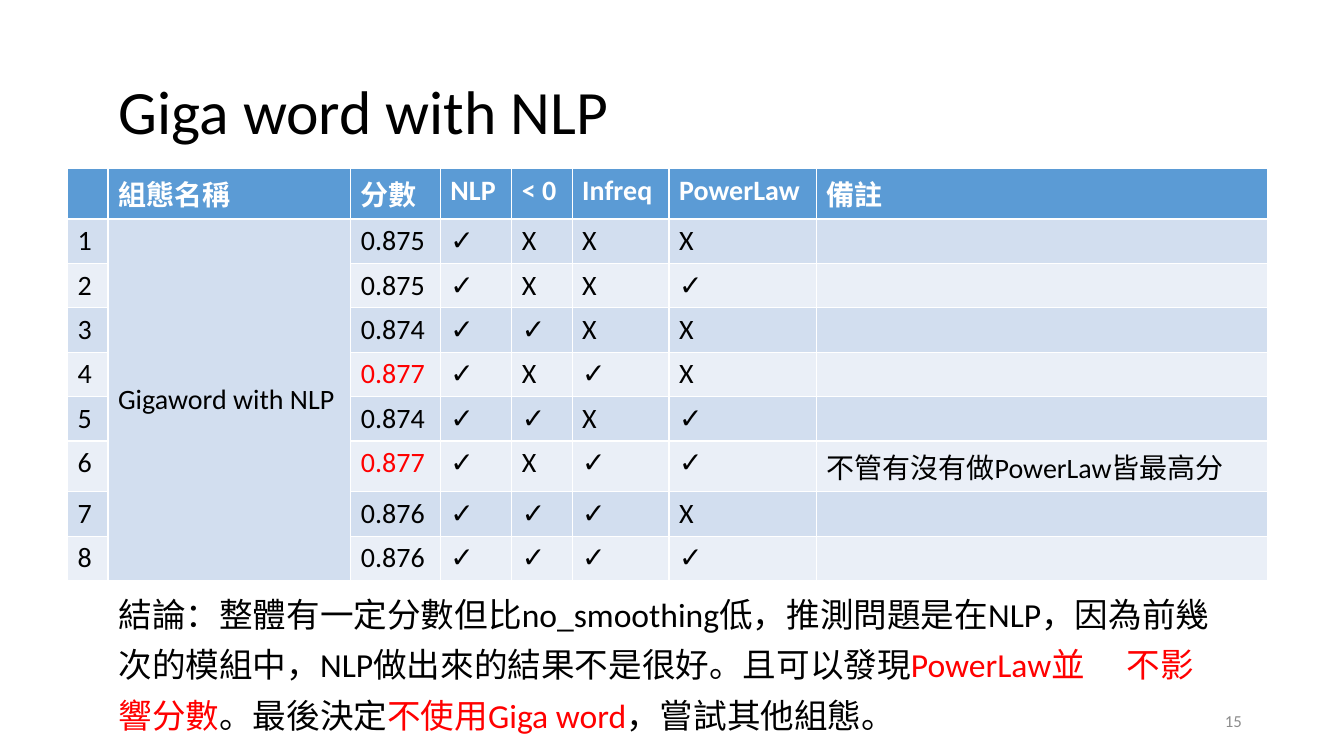
from pptx import Presentation
from pptx.dml.color import RGBColor
from pptx.enum.text import MSO_ANCHOR as Anchor, MSO_AUTO_SIZE as AutoSize, PP_ALIGN as Align
from pptx.util import Cm, Pt

BLACK, WHITE, RED, GREY = "000000", "FFFFFF", "FF0000", "8C8C8C"
HEADER_FILL, BAND_FILLS = "5B9BD5", ("D2DEEF", "EAEFF7")

HEADINGS = ["", "組態名稱", "分數", "NLP", "< 0", "Infreq", "PowerLaw", "備註"]
COLUMN_WIDTHS = [1.02, 6.12, 2.26, 1.8, 1.52, 2.44, 3.71, 11.38]
ROW_HEIGHTS = [1.09] * 8 + [0.89]
CONFIG_NAME = "Gigaword with NLP"
BEST_SCORE = "0.877"
# Score, then the marks for NLP, < 0, Infreq and PowerLaw
RESULTS = [
    ("0.875", "✓XXX"), ("0.875", "✓XX✓"), ("0.874", "✓✓XX"), ("0.877", "✓X✓X"),
    ("0.874", "✓✓X✓"), ("0.877", "✓X✓✓"), ("0.876", "✓✓✓X"), ("0.876", "✓✓✓✓"),
]
REMARKS = {6: "不管有沒有做PowerLaw皆最高分"}
CONCLUSION = [
    ("結論：整體有一定分數但比no_smoothing低，推測問題是在NLP，因為前幾\t次的模組中，"
     "NLP做出來的結果不是很好。且可以發現", BLACK),
    ("PowerLaw並\t不影響分數", RED),
    ("。最後決定", BLACK),
    ("不使用Giga word", RED),
    ("，嘗試其他組態。", BLACK),
]


def rgb(hex_color):
    return RGBColor.from_string(hex_color)


class SlideBuilder:
    def __init__(self, slide, font="Calibri"):
        self.slide = slide
        self.font = font

    def style(self, paragraph, size, color=BLACK, bold=False):
        font = paragraph.font
        font.name, font.size, font.bold = self.font, Pt(size), bold
        font.color.rgb = rgb(color)

    def title(self, text, left, top, width, height):
        title = self.slide.shapes.title
        title.left, title.top, title.width, title.height = map(Cm, (left, top, width, height))
        frame = title.text_frame
        frame.text = text
        frame.auto_size, frame.vertical_anchor = AutoSize.NONE, Anchor.MIDDLE
        heading = frame.paragraphs[0]
        heading.alignment, heading.line_spacing = Align.LEFT, 0.9
        self.style(heading, 44)

    def text(self, parts, left, top, width, height, size, color=BLACK,
             align=Align.LEFT, anchor=Anchor.TOP, spacing=None):
        frame = self.slide.shapes.add_textbox(*map(Cm, (left, top, width, height))).text_frame
        frame.word_wrap, frame.vertical_anchor = True, anchor
        paragraph = frame.paragraphs[0]
        paragraph.alignment, paragraph.line_spacing = align, spacing
        self.style(paragraph, size, color)
        for words, part_color in parts:
            run = paragraph.add_run()
            run.text = words
            if part_color != color:
                run.font.color.rgb = rgb(part_color)

    def cell(self, cell, text, fill, color=BLACK, bold=False):
        cell.fill.solid()
        cell.fill.fore_color.rgb = rgb(fill)
        cell.text = text
        self.style(cell.text_frame.paragraphs[0], 20, color, bold)

    def table(self, rows, left, top, widths, heights):
        table = self.slide.shapes.add_table(
            len(rows), len(widths), Cm(left), Cm(top), Cm(sum(widths)), Cm(sum(heights))).table
        for column, width in zip(table.columns, widths):
            column.width = Cm(width)
        for row, height in zip(table.rows, heights):
            row.height = Cm(height)
        for r, values in enumerate(rows):
            for c, value in enumerate(values):
                if r == 0:
                    self.cell(table.cell(r, c), value, HEADER_FILL, WHITE, bold=True)
                else:
                    color = RED if value == BEST_SCORE else BLACK
                    self.cell(table.cell(r, c), value, BAND_FILLS[(r - 1) % 2], color)
        return table


def main():
    prs = Presentation()
    prs.slide_width, prs.slide_height = Cm(33.87), Cm(19.05)
    builder = SlideBuilder(prs.slides.add_slide(prs.slide_layouts[5]))

    # Title
    builder.title("Giga word with NLP", 2.74, 1.04, 29.21, 3.68)

    # Results table, with one name shared by all configurations
    rows = [HEADINGS]
    for number, (score, marks) in enumerate(RESULTS, start=1):
        name = CONFIG_NAME if number == 1 else ""
        rows.append([str(number), name, score, *marks, REMARKS.get(number, "")])
    results = builder.table(rows, 1.7, 4.24, COLUMN_WIDTHS, ROW_HEIGHTS)
    config = results.cell(1, 1)
    config.merge(results.cell(len(RESULTS), 1))
    config.vertical_anchor = Anchor.MIDDLE

    # Conclusion and page number
    builder.text(CONCLUSION, 2.74, 14.58, 28.22, 4.11, 24, spacing=Pt(36))
    builder.text([("15", GREY)], 23.93, 17.65, 7.62, 1.02, 12, GREY, Align.RIGHT, Anchor.MIDDLE)

    prs.save("out.pptx")


if __name__ == "__main__":
    main()
